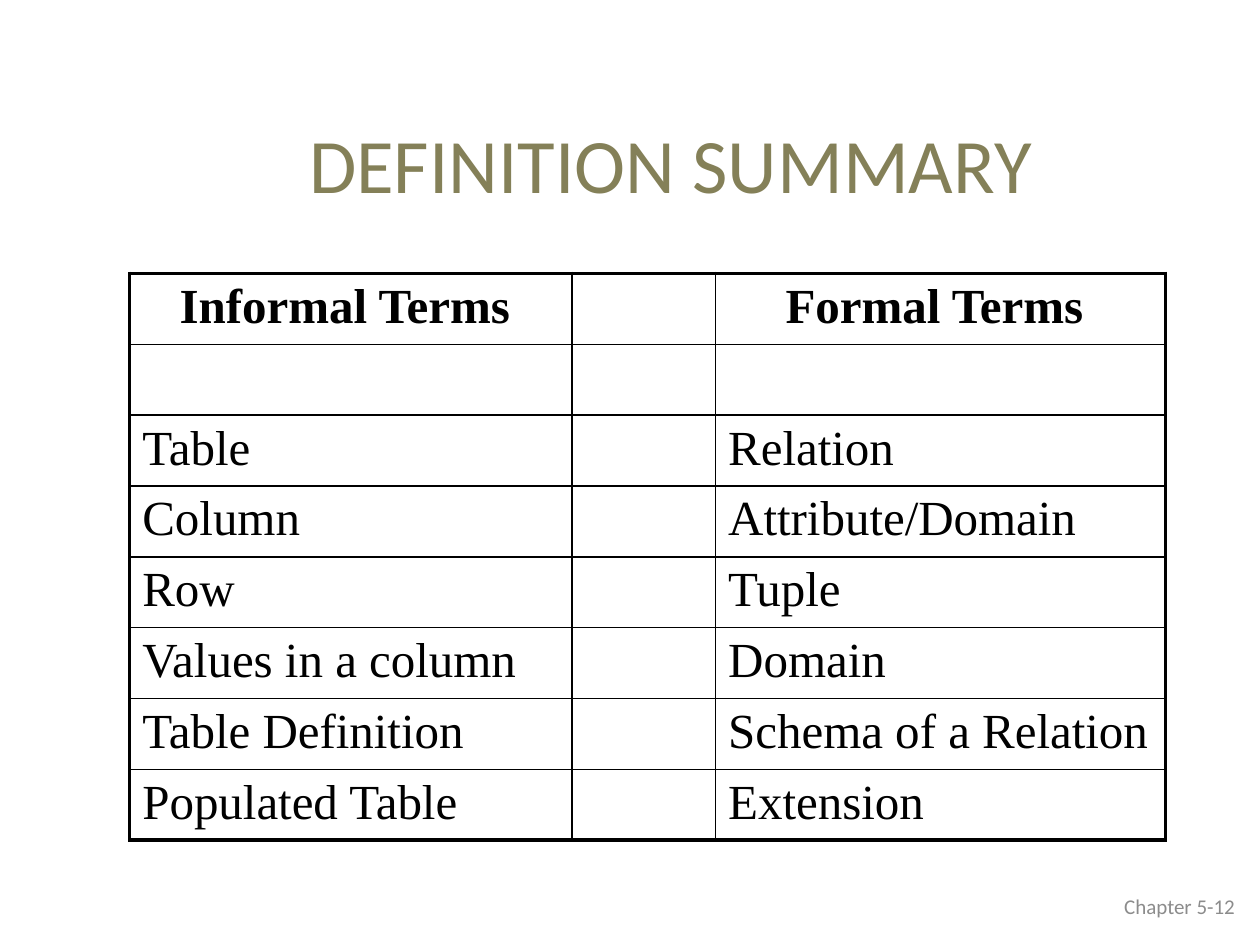
import pptx
import pptx.util
import pptx.dml.color
import pptx.enum.text
import pptx.oxml
import pptx.oxml.ns
from lxml import etree

Inches = pptx.util.Inches
Pt = pptx.util.Pt
Align = pptx.enum.text.PP_ALIGN
Anchor = pptx.enum.text.MSO_ANCHOR

COLORS = {"title": "848058", "ink": "000000", "foot": "8C8C8C"}
THICK, THIN = 2.25, 1
TERMS = [
    ("Informal Terms ", "Formal Terms "),
    ("", ""),
    ("Table", "Relation"),
    ("Column", "Attribute/Domain"),
    ("Row", "Tuple"),
    ("Values in a column", "Domain"),
    ("Table Definition", "Schema of a Relation"),
    ("Populated Table", "Extension"),
]


def write(frame, text, font, size, color, align, bold=False):
    para = frame.paragraphs[0]
    para.alignment = align
    run = para.add_run()
    run.text = text
    run.font.name = font
    run.font.size = Pt(size)
    run.font.bold = bold
    run.font.color.rgb = pptx.dml.color.RGBColor.from_string(COLORS[color])


def border(cell, sides):
    props = cell._tc.get_or_add_tcPr()
    qn = pptx.oxml.ns.qn
    for side, width in sides.items():
        line = etree.SubElement(props, qn("a:ln" + side), w=str(Pt(width)))
        fill = etree.SubElement(line, qn("a:solidFill"))
        etree.SubElement(fill, qn("a:srgbClr"), val=COLORS["ink"])


def add_title(slide, left, top, width, height):
    title = slide.shapes.title
    title.left, title.top, title.width, title.height = left, top, width, height
    frame = title.text_frame
    frame.word_wrap = True
    frame.vertical_anchor = Anchor.MIDDLE
    write(frame, "DEFINITION SUMMARY", "Calibri", 44, "title", Align.CENTER)


def add_terms(slide, left, top, width, height):
    rows = [(informal, "", formal) for informal, formal in TERMS]
    table = slide.shapes.add_table(len(rows), 3, left, top, width, height).table
    table.first_row = False
    table.horz_banding = False
    middle, right = Inches(1.14), Inches(3.57)
    for col, span in zip(table.columns, (width - middle - right, middle, right)):
        col.width = span
    last = len(rows) - 1
    for r, row in enumerate(rows):
        table.rows[r].height = height // len(rows)
        for c, text in enumerate(row):
            cell = table.cell(r, c)
            border(cell, {
                "L": THICK if c == 0 else THIN,
                "R": THICK if c == 2 else THIN,
                "T": THICK if r == 0 else THIN,
                "B": THICK if r == last else THIN,
            })
            cell.fill.background()
            if text:
                align = Align.CENTER if r == 0 else Align.LEFT
                write(cell.text_frame, text, "Times New Roman", 28, "ink",
                      align, bold=r == 0)


def add_foot(slide, left, top, width, height):
    frame = slide.shapes.add_textbox(left, top, width, height).text_frame
    frame.word_wrap = True
    frame.vertical_anchor = Anchor.MIDDLE
    write(frame, "Chapter 5-12", "Calibri", 12, "foot", Align.RIGHT)


def main():
    deck = pptx.Presentation()
    deck.slide_width, deck.slide_height = Inches(10), Inches(7.5)
    slide = deck.slides.add_slide(deck.slide_layouts[5])
    add_title(slide, Inches(1.4), Inches(0.67), Inches(7.85), Inches(1.25))
    add_terms(slide, Inches(1.03), Inches(2.17), Inches(8.22), Inches(4.5))
    add_foot(slide, Inches(7.82), Inches(6.98), Inches(2.08), Inches(0.42))
    deck.save("out.pptx")


if __name__ == "__main__":
    main()
